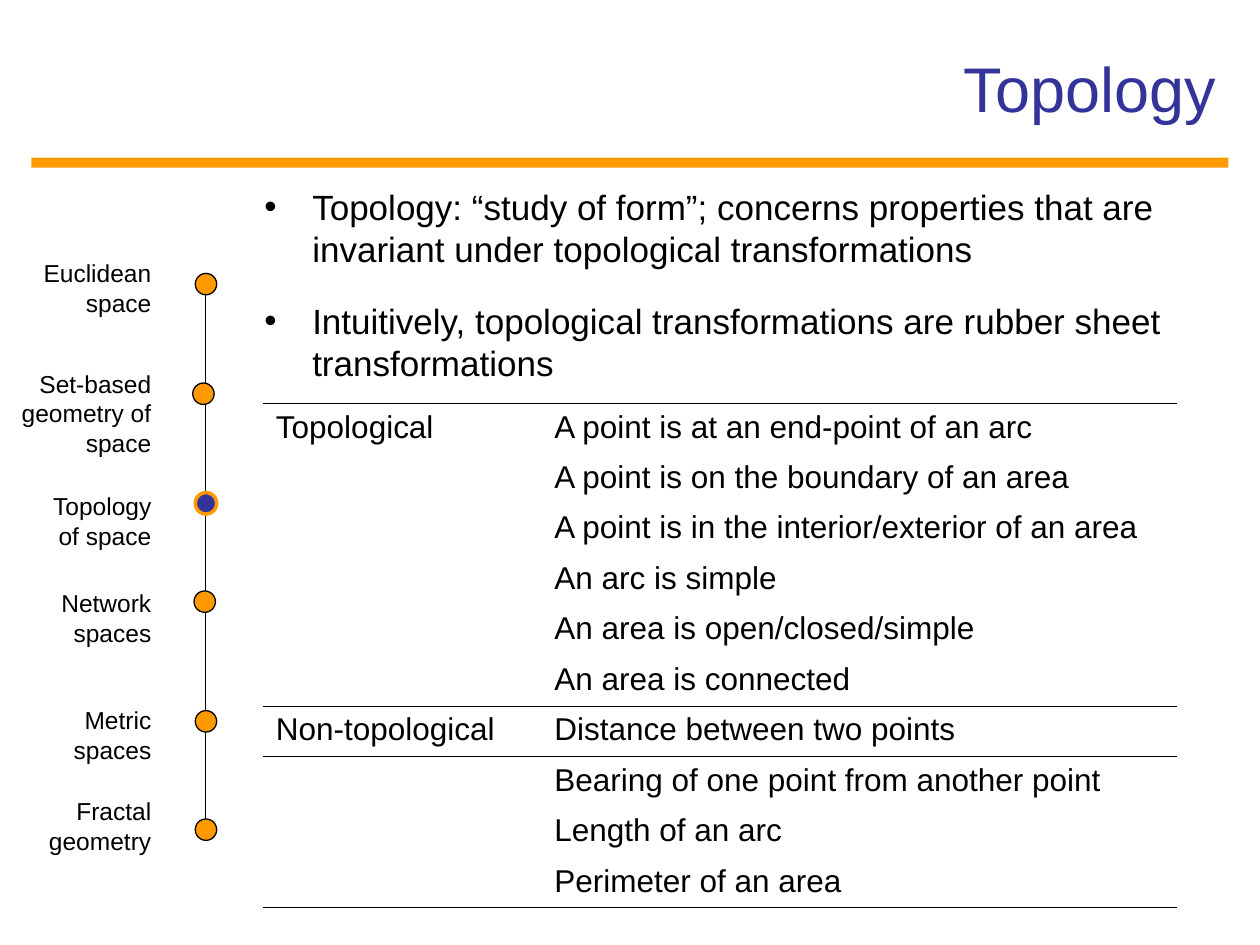
from dataclasses import dataclass
from lxml.etree import SubElement
from pptx import Presentation
from pptx.dml.color import RGBColor
from pptx.enum.shapes import MSO_CONNECTOR as Connector, MSO_SHAPE as Shape
from pptx.enum.text import MSO_ANCHOR as Anchor, PP_ALIGN as Align
from pptx.oxml.ns import qn
from pptx.util import Inches, Pt


@dataclass(frozen=True)
class Theme:
    font: str = "Arial"
    black: RGBColor = RGBColor(0x00, 0x00, 0x00)
    orange: RGBColor = RGBColor(0xFF, 0x99, 0x00)
    indigo: RGBColor = RGBColor(0x33, 0x33, 0x99)
    title: int = 36
    body: int = 20
    table: int = 18
    label: int = 14


theme = Theme()


def add_run(paragraph, text, size, color=theme.black):
    run = paragraph.add_run()
    run.text = text
    run.font.name = theme.font
    run.font.size = Pt(size)
    run.font.color.rgb = color


def add_text_box(left, top, width, height):
    box = slide.shapes.add_textbox(Inches(left), Inches(top), Inches(width), Inches(height))
    box.text_frame.word_wrap = True
    return box.text_frame


presentation = Presentation()
presentation.slide_width = Inches(10)
presentation.slide_height = Inches(7.5)
slide = presentation.slides.add_slide(presentation.slide_layouts[6])

title_rule = slide.shapes.add_shape(
    Shape.RECTANGLE, Inches(0.25), Inches(1.25), Inches(9.5), Inches(0.08))
title_rule.shadow.inherit = False
title_rule.fill.solid()
title_rule.fill.fore_color.rgb = theme.orange
title_rule.line.fill.background()

timeline = slide.shapes.add_connector(
    Connector.STRAIGHT, Inches(1.63), Inches(2.17), Inches(1.63), Inches(6.58))
timeline.line.color.rgb = theme.black
timeline.line.width = Pt(0.75)
SubElement(timeline._element.spPr, qn("a:effectLst"))

label_right = 1.3
dot_size = 0.17
stops = [
    ("Euclidean space", 2.0, 1.09, 0.57, 1.55, 2.17),
    ("Set-based geometry of space", 2.88, 1.27, 0.8, 1.53, 3.04),
    ("Topology of space", 3.85, 1.01, 0.57, 1.55, 3.91),
    ("Network spaces", 4.62, 1.07, 0.57, 1.54, 4.69),
    ("Metric spaces", 5.55, 1.02, 0.57, 1.55, 5.64),
    ("Fractal geometry", 6.27, 1.23, 0.57, 1.55, 6.5),
]
for text, top, width, height, dot_left, dot_top in stops:
    label = add_text_box(label_right - width, top, width, height)
    label.paragraphs[0].alignment = Align.RIGHT
    add_run(label.paragraphs[0], text, theme.label)

    current = text == "Topology of space"
    dot = slide.shapes.add_shape(
        Shape.OVAL, Inches(dot_left), Inches(dot_top), Inches(dot_size), Inches(dot_size))
    dot.shadow.inherit = False
    dot.fill.solid()
    dot.fill.fore_color.rgb = theme.indigo if current else theme.orange
    dot.line.color.rgb = theme.orange if current else theme.black
    dot.line.width = Pt(2 if current else 0.75)

title = add_text_box(0.75, 0.22, 9, 0.95)
title.vertical_anchor = Anchor.MIDDLE
title.paragraphs[0].alignment = Align.RIGHT
add_run(title.paragraphs[0], "Topology", theme.title, theme.indigo)

body = add_text_box(2, 1.42, 7.65, 1.78)
statements = [
    "Topology: “study of form”; concerns properties that are invariant under topological transformations",
    "Intuitively, topological transformations are rubber sheet transformations",
]
for index, statement in enumerate(statements):
    paragraph = body.add_paragraph() if index else body.paragraphs[0]
    paragraph.space_before = paragraph.space_after = Pt(8.8)
    properties = paragraph._p.get_or_add_pPr()
    properties.set("marL", str(Inches(0.38)))
    properties.set("indent", str(-Inches(0.38)))
    SubElement(properties, qn("a:buFont"), typeface=theme.font)
    SubElement(properties, qn("a:buChar"), char="•")
    add_run(paragraph, statement, theme.body)

groups = {
    "Topological": [
        "A point is at an end-point of an arc",
        "A point is on the boundary of an area",
        "A point is in the interior/exterior of an area",
        "An arc is simple",
        "An area is open/closed/simple",
        "An area is connected",
    ],
    "Non-topological": [
        "Distance between two points",
        "Bearing of one point from another point",
        "Length of an arc",
        "Perimeter of an area",
    ],
}
rows = []
for group, examples in groups.items():
    for index, example in enumerate(examples):
        edges = ["a:lnT"] * (index == 0) + ["a:lnB"] * (index == len(examples) - 1)
        rows.append(("" if index else group, example, edges))

table = slide.shapes.add_table(
    len(rows), 2, Inches(2.09), Inches(3.2), Inches(7.25), Inches(3.89)).table
table.first_row = False
table.horz_banding = False
table._tbl.tblPr.find(qn("a:tableStyleId")).text = "{2D5ABB26-0587-4C30-8999-92F81FD0307C}"
for column, width in zip(table.columns, (2.21, 5.04)):
    column.width = Inches(width)
for row_index, (group, example, edges) in enumerate(rows):
    table.rows[row_index].height = Inches(0.4 if row_index < 7 else 0.37)
    for column_index, text in enumerate((group, example)):
        cell = table.cell(row_index, column_index)
        cell.margin_left = cell.margin_right = Inches(0.1)
        cell.margin_top = cell.margin_bottom = Inches(0.05)
        paragraph = cell.text_frame.paragraphs[0]
        paragraph.font.size = Pt(theme.table)
        if text:
            paragraph.space_before = paragraph.space_after = Pt(7.9)
            add_run(paragraph, text, theme.table)
        for edge in edges:
            border = SubElement(cell._tc.get_or_add_tcPr(), qn(edge), w=str(Pt(0.45)))
            fill = SubElement(border, qn("a:solidFill"))
            SubElement(fill, qn("a:srgbClr"), val=str(theme.black))
        cell.fill.background()

presentation.save("out.pptx")
